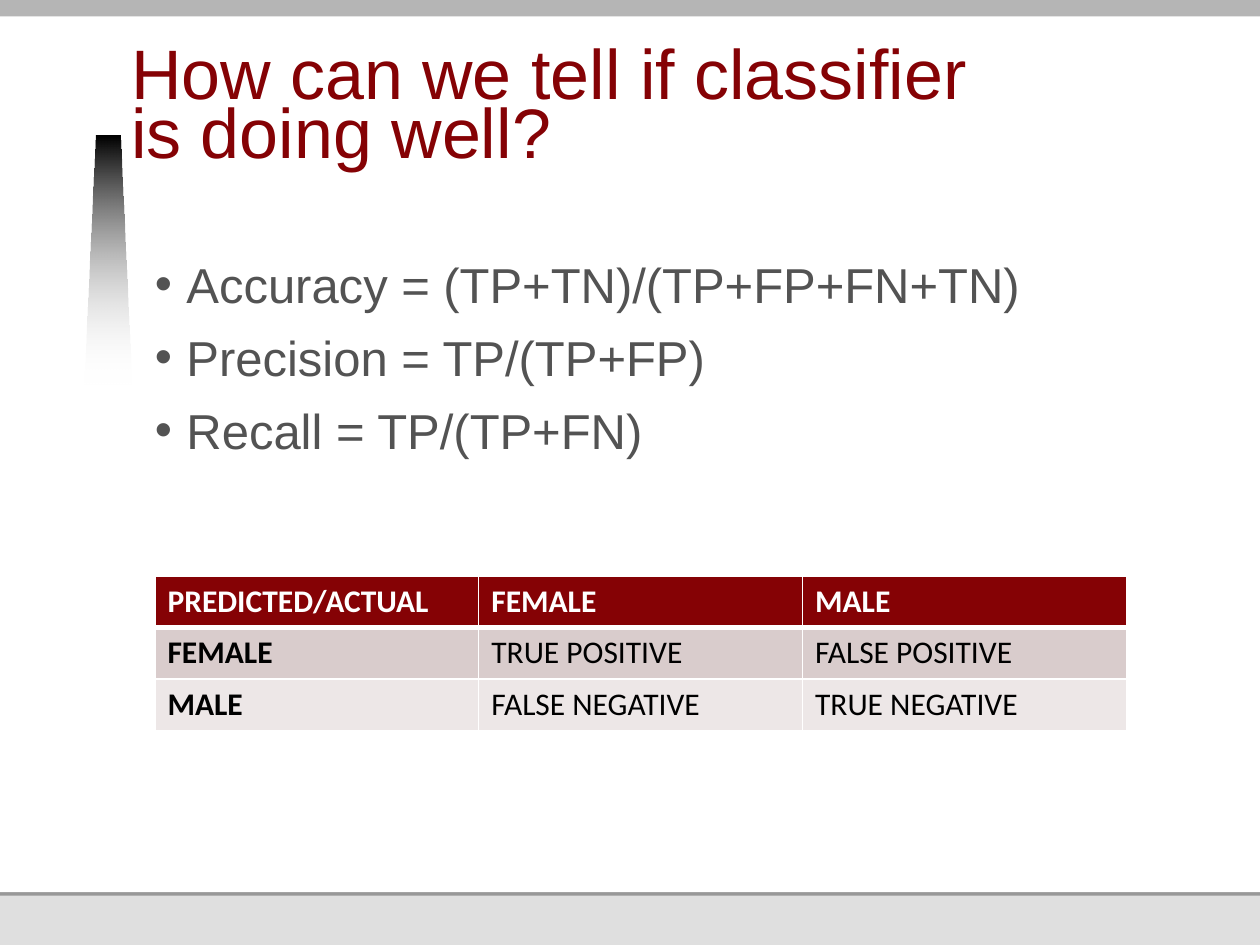
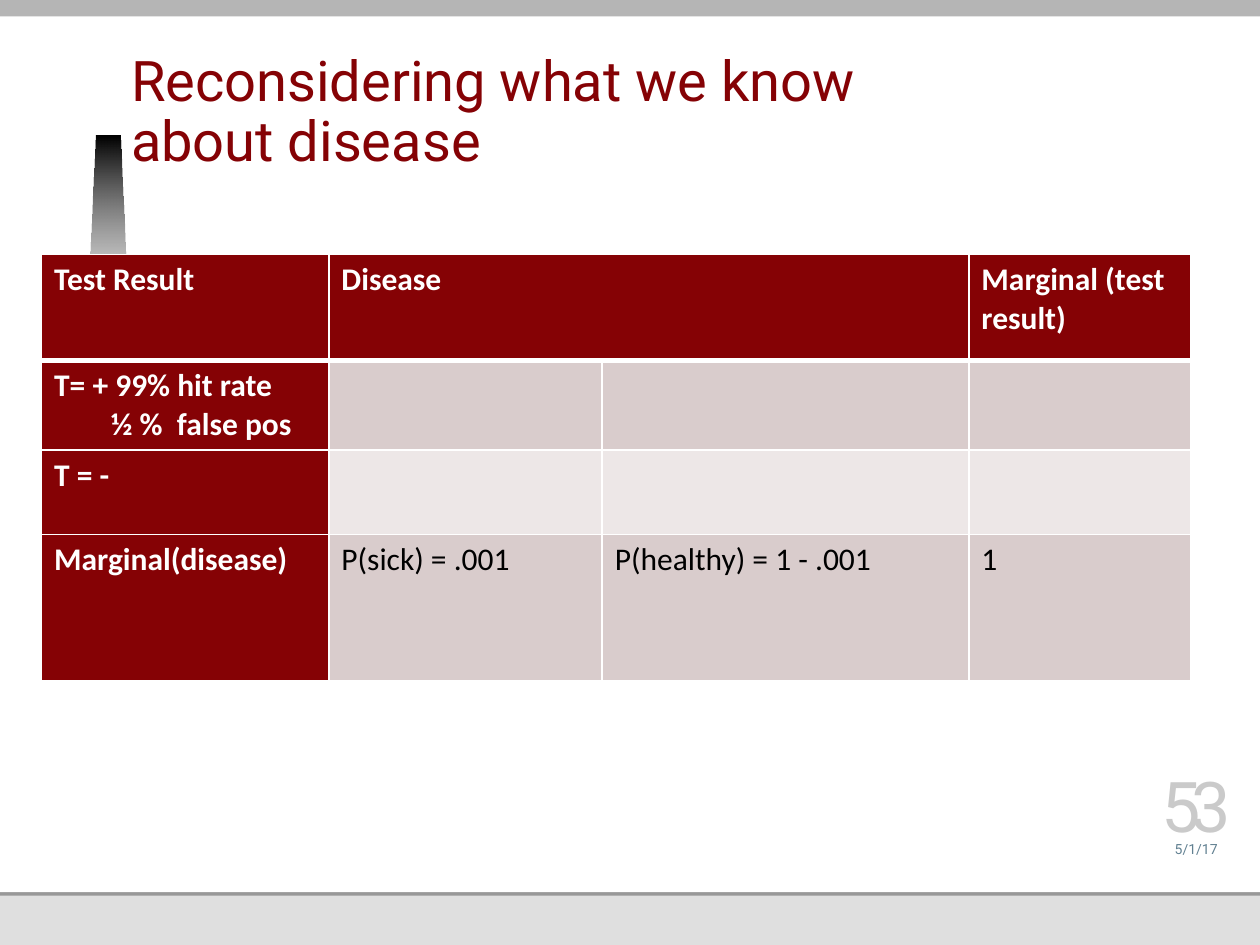
from lxml.etree import SubElement
from pptx import Presentation
from pptx.dml.color import RGBColor
from pptx.enum.shapes import MSO_SHAPE
from pptx.enum.text import MSO_ANCHOR, MSO_AUTO_SIZE, PP_ALIGN
from pptx.oxml.ns import qn
from pptx.util import Inches, Pt

BLACK = RGBColor(0x00, 0x00, 0x00)
WHITE = RGBColor(0xFF, 0xFF, 0xFF)
MAROON = RGBColor(0x85, 0x02, 0x05)
ROSE = RGBColor(0xD9, 0xCC, 0xCC)
PALE_ROSE = RGBColor(0xED, 0xE7, 0xE7)
BODY_GRAY = RGBColor(0x53, 0x53, 0x53)
TOP_GRAY = RGBColor(0xB5, 0xB5, 0xB5)
RULE_GRAY = RGBColor(0x98, 0x98, 0x98)
FOOTER_GRAY = RGBColor(0xDF, 0xDF, 0xDF)
NUMBER_GRAY = RGBColor(0xCA, 0xCA, 0xCA)
DATE_BLUE = RGBColor(0x61, 0x80, 0x91)


def write_text(frame, text, size=18, font="Calibri", color=BLACK, bold=False,
               align=PP_ALIGN.LEFT, anchor=None, margins=None, line_spacing=None,
               space_after=0, bullet=None, spacing=None):
    """Write one paragraph per line of text."""
    frame.word_wrap = True
    if anchor is not None:
        frame.vertical_anchor = anchor
    if margins is not None:
        frame.auto_size = MSO_AUTO_SIZE.NONE
        (frame.margin_left, frame.margin_top,
         frame.margin_right, frame.margin_bottom) = map(Inches, margins)
    for index, line in enumerate(text.split("\n")):
        paragraph = frame.add_paragraph() if index else frame.paragraphs[0]
        if bullet:
            properties = paragraph._p.get_or_add_pPr()
            properties.set("marL", str(Inches(0.25)))
            properties.set("indent", str(-Inches(0.25)))
            bullet_color = SubElement(properties, qn("a:buClr"))
            SubElement(bullet_color, qn("a:srgbClr"), val=str(color))
            SubElement(properties, qn("a:buFont"), typeface=font)
            SubElement(properties, qn("a:buChar"), char=bullet)
        paragraph.alignment = align
        paragraph.space_before = Pt(0)
        paragraph.space_after = Pt(space_after)
        if line_spacing is not None:
            paragraph.line_spacing = line_spacing
        run = paragraph.add_run()
        run.text = line
        run.font.size = Pt(size)
        run.font.name = font
        run.font.bold = bold
        run.font.color.rgb = color
        if spacing is not None:
            run._r.get_or_add_rPr().set("spc", str(spacing * 100))


def add_grid(slide, left, top, widths, heights, rows, maroon_first_column=False):
    """Add a table with a maroon header, banded rows and white borders."""
    table = slide.shapes.add_table(
        len(rows), len(widths), Inches(left), Inches(top),
        Inches(sum(widths)), Inches(sum(heights))).table
    for column, width in zip(table.columns, widths):
        column.width = Inches(width)
    for row, height in zip(table.rows, heights):
        row.height = Inches(height)
    for row_index, texts in enumerate(rows):
        for column_index, text in enumerate(texts):
            cell = table.cell(row_index, column_index)
            dark = row_index == 0 or (maroon_first_column and column_index == 0)
            cell_properties = cell._tc.get_or_add_tcPr()
            for side in ("lnL", "lnR", "lnT", "lnB"):
                thick = (row_index, side) in ((0, "lnB"), (1, "lnT"))
                border = SubElement(cell_properties, qn("a:" + side),
                                    w=str(Pt(3 if thick else 1)))
                border_fill = SubElement(border, qn("a:solidFill"))
                SubElement(border_fill, qn("a:srgbClr"), val=str(WHITE))
            cell.fill.solid()
            cell.fill.fore_color.rgb = MAROON if dark else ROSE if row_index % 2 else PALE_ROSE
            if text:
                write_text(cell.text_frame, text, color=WHITE if dark else BLACK,
                           bold=dark or column_index == 0)
    return table


presentation = Presentation()
presentation.slide_width = Inches(10)
presentation.slide_height = Inches(7.5)
metrics_slide = presentation.slides.add_slide(presentation.slide_layouts[1])
disease_slide = presentation.slides.add_slide(presentation.slide_layouts[5])

# Shared layers (footer, rule, page, top band) and fading wedge, moved to the slide master
decorations = []
for top, width, height, color in ((0, 10, 7.5, FOOTER_GRAY), (1.78, 10, 5.33, RULE_GRAY),
                                  (0, 10, 7.08, WHITE), (-0.04, 10.17, 0.17, TOP_GRAY)):
    band = metrics_slide.shapes.add_shape(
        MSO_SHAPE.RECTANGLE, 0, Inches(top), Inches(width), Inches(height))
    band.fill.solid()
    band.fill.fore_color.rgb = color
    decorations.append(band)

builder = metrics_slide.shapes.build_freeform(Inches(0.67), Inches(3.05))
builder.add_line_segments([(Inches(x), Inches(y)) for x, y in
                           ((0.76, 1.08), (0.95, 1.08), (1.04, 3.05))], close=True)
wedge = builder.convert_to_shape()
wedge.fill.gradient()
wedge.fill.gradient_angle = 270
for stop, color in zip(wedge.fill.gradient_stops, (BLACK, WHITE)):
    stop.color.rgb = color
fade_color = list(wedge.element.iter(qn("a:srgbClr")))[-1]
SubElement(fade_color, qn("a:alpha"), val="0")
decorations.append(wedge)

master_tree = presentation.slide_master.shapes.element
for position, decoration in enumerate(decorations, start=2):
    decoration.line.fill.background()
    decoration.shadow.inherit = False
    master_tree.insert(position, decoration.element)

# Titles
for slide, text, font, size in (
        (metrics_slide, "How can we tell if classifier is doing well?", "Arial", 40),
        (disease_slide, "Reconsidering what we know about disease", "Roboto", 32)):
    title = slide.shapes.title
    title.left, title.top, title.width, title.height = map(Inches, (1.04, 0.34, 6.87, 1.08))
    write_text(title.text_frame, text, size=size, font=font, color=MAROON,
               anchor=MSO_ANCHOR.BOTTOM, margins=(0, 0, 0, 0.05), line_spacing=Pt(34))

# Slide 1: metric formulas and confusion matrix
formulas = metrics_slide.placeholders[1]
formulas.left, formulas.top, formulas.width, formulas.height = map(
    Inches, (1.23, 2.02, 7.71, 4.79))
write_text(formulas.text_frame,
           "Accuracy = (TP+TN)/(TP+FP+FN+TN)\nPrecision = TP/(TP+FP)\nRecall = TP/(TP+FN)",
           size=28, font="Arial", color=BODY_GRAY, anchor=MSO_ANCHOR.TOP,
           margins=(0, 0, 0, 0.05), line_spacing=1.0, space_after=8, bullet="•")
add_grid(metrics_slide, 1.23, 4.57, [2.57] * 3, [0.41] * 3, [
    ["PREDICTED/ACTUAL", "FEMALE", "MALE"],
    ["FEMALE", "TRUE POSITIVE", "FALSE POSITIVE"],
    ["MALE", "FALSE NEGATIVE", "TRUE NEGATIVE"],
])

# Slide 2: joint table of test result and disease
disease_table = add_grid(
    disease_slide, 0.33, 2.02, [2.28, 2.17, 2.91, 1.76], [0.84, 0.67, 0.67, 1.16], [
        ["Test Result", "Disease", "", "Marginal (test result)"],
        ["T= + 99% hit rate\n½ %  false pos", "", "", ""],
        ["T = -", "", "", ""],
        ["Marginal(disease)", "P(sick) = .001", "P(healthy) = 1 - .001", "1"],
    ], maroon_first_column=True)
disease_table.cell(0, 1).merge(disease_table.cell(0, 2))
false_positive = disease_table.cell(1, 0).text_frame.paragraphs[1]
false_positive._p.get_or_add_pPr().set("marL", str(Inches(0.45)))

# Slide 2: date and slide number
for text, top, height, size, color, spacing in (
        ("5/1/17", 6.58, 0.22, 8, DATE_BLUE, None),
        ("53", 6.16, 0.56, 40, NUMBER_GRAY, -5)):
    box = disease_slide.shapes.add_textbox(
        Inches(9.13), Inches(top), Inches(0.73), Inches(height))
    write_text(box.text_frame, text, size=size, font="Roboto", color=color,
               align=PP_ALIGN.CENTER, anchor=MSO_ANCHOR.BOTTOM,
               margins=(0, 0, 0, 0), spacing=spacing)

presentation.save("out.pptx")
